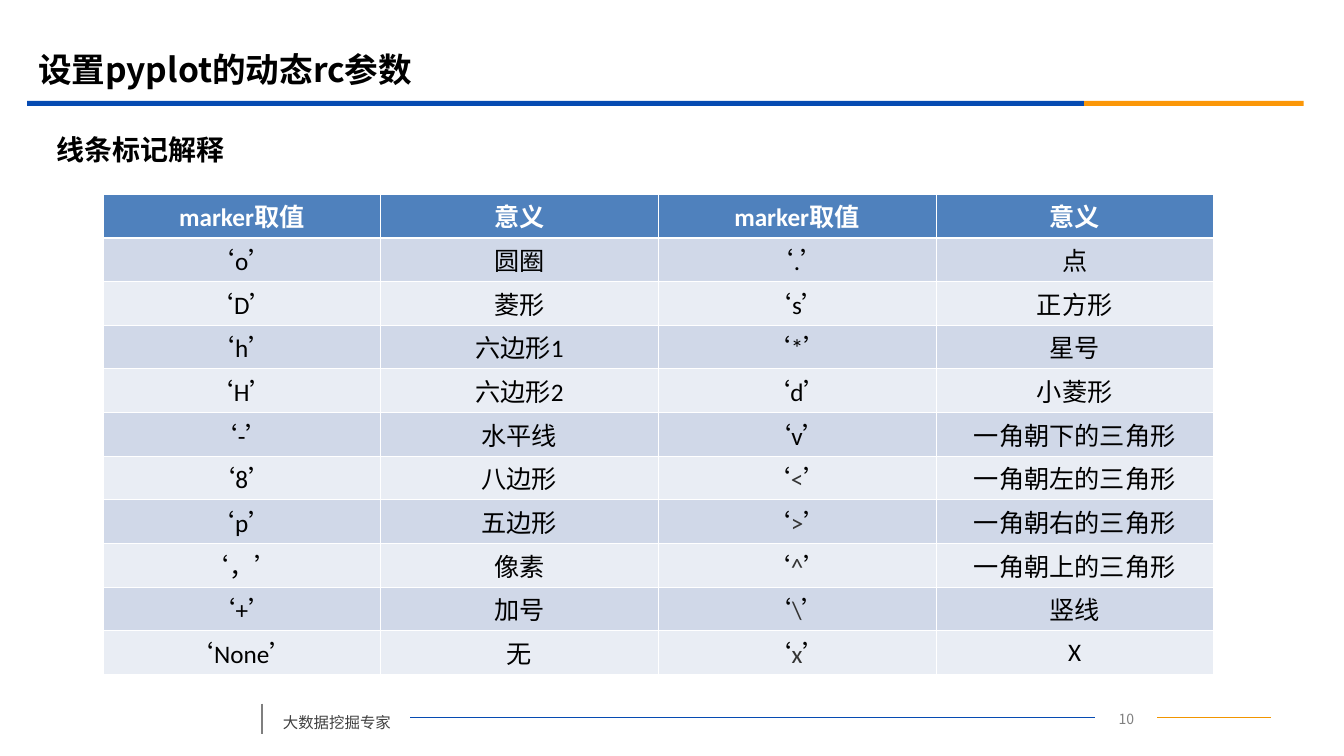
"""Builds a slide listing the pyplot line marker values and their meanings."""
import dataclasses
import itertools

import lxml.etree
import pptx
import pptx.dml.color
import pptx.enum.shapes
import pptx.enum.text
import pptx.oxml.ns
import pptx.util

Pt = pptx.util.Pt
ALIGN = pptx.enum.text.PP_ALIGN
ANCHOR = pptx.enum.text.MSO_ANCHOR
qn = pptx.oxml.ns.qn


@dataclasses.dataclass(frozen=True)
class Theme:
    latin: str = "Calibri"
    chinese: str = "Noto Sans CJK SC"
    black: str = "000000"
    white: str = "FFFFFF"
    symbol: str = "333333"
    footer: str = "404040"
    grey: str = "7F7F7F"
    blue: str = "064BB2"
    orange: str = "FB9708"
    footer_orange: str = "F19500"
    header: str = "4F81BD"
    bands: tuple = ("D0D8E8", "E9EDF4")
    title_size: int = 24
    heading_size: int = 20
    table_size: int = 18
    footer_size: int = 11
    page_size: int = 10
    thin_border: float = 0.45
    thick_border: float = 1.47


HEADINGS = ("marker取值", "意义") * 2
MARKERS = [
    ("‘o’", "圆圈", "‘.’", "点"),
    ("‘D’", "菱形", "‘s’", "正方形"),
    ("‘h’", "六边形1", "‘*’", "星号"),
    ("‘H’", "六边形2", "‘d’", "小菱形"),
    ("‘-’", "水平线", "‘v’", "一角朝下的三角形"),
    ("‘8’", "八边形", "‘<’", "一角朝左的三角形"),
    ("‘p’", "五边形", "‘>’", "一角朝右的三角形"),
    ("‘，’", "像素", "‘^’", "一角朝上的三角形"),
    ("‘+’", "加号", "‘\\’", "竖线"),
    ("‘None’", "无", "‘x’", "X"),
]
GREY_SYMBOLS = ("<", ">", "^", "\\", "x")


def rgb(color):
    return pptx.dml.color.RGBColor.from_string(color)


class SlideBuilder:
    def __init__(self, slide, theme):
        self.slide = slide
        self.theme = theme

    def style(self, font, size, color, bold=False):
        font.size, font.bold = Pt(size), bold
        font.color.rgb = rgb(color)

    def typeface(self, font, properties, name):
        font.name = name
        east_asian = lxml.etree.SubElement(properties, qn("a:ea"))
        east_asian.set("typeface", self.theme.chinese)

    def fill_text(self, frame, text, size, color, bold=False, align=ALIGN.LEFT,
                  anchor=ANCHOR.MIDDLE):
        frame.word_wrap = True
        frame.vertical_anchor = anchor
        paragraph = frame.paragraphs[0]
        paragraph.text = text
        paragraph.alignment = align
        self.style(paragraph.font, size, color, bold)
        defaults = paragraph._p.pPr.find(qn("a:defRPr"))
        self.typeface(paragraph.font, defaults, self.theme.chinese)

    def title(self, text, left, top, width, height):
        title = self.slide.shapes.title
        title.left, title.top = Pt(left), Pt(top)
        title.width, title.height = Pt(width), Pt(height)
        self.fill_text(title.text_frame, text, self.theme.title_size, self.theme.black, bold=True)

    def text(self, text, left, top, width, height, size, color, **options):
        box = self.slide.shapes.add_textbox(Pt(left), Pt(top), Pt(width), Pt(height))
        self.fill_text(box.text_frame, text, size, color, **options)
        return box

    def bar(self, left, top, width, height, color):
        bar = self.slide.shapes.add_shape(
            pptx.enum.shapes.MSO_SHAPE.RECTANGLE, Pt(left), Pt(top), Pt(width), Pt(height))
        bar.shadow.inherit = False
        bar.fill.solid()
        bar.fill.fore_color.rgb = rgb(color)
        bar.line.fill.background()

    def line(self, start, end, color, width):
        line = self.slide.shapes.add_connector(
            pptx.enum.shapes.MSO_CONNECTOR.STRAIGHT, *map(Pt, start + end))
        line.line.color.rgb = rgb(color)
        line.line.width = Pt(width)
        lxml.etree.SubElement(line._element.spPr, qn("a:effectLst"))
        return line

    def borders(self, cell, top, bottom):
        properties = cell._tc.get_or_add_tcPr()
        thin = self.theme.thin_border
        sides = (("lnL", thin), ("lnR", thin), ("lnT", top), ("lnB", bottom))
        for position, (side, width) in enumerate(sides):
            border = lxml.etree.Element(qn(f"a:{side}"), w=str(int(Pt(width))))
            fill = lxml.etree.SubElement(border, qn("a:solidFill"))
            lxml.etree.SubElement(fill, qn("a:srgbClr"), val=self.theme.white)
            properties.insert(position, border)

    def cell(self, cell, text, row):
        theme = self.theme
        is_header = row == 0
        cell.vertical_anchor = ANCHOR.MIDDLE
        cell.margin_left = cell.margin_right = Pt(5.8)
        cell.margin_top = cell.margin_bottom = Pt(2.5)
        cell.fill.solid()
        cell.fill.fore_color.rgb = rgb(theme.header if is_header else theme.bands[(row - 1) % 2])
        self.borders(cell,
                     theme.thick_border if row == 1 else theme.thin_border,
                     theme.thick_border if is_header else theme.thin_border)
        paragraph = cell.text_frame.paragraphs[0]
        paragraph.alignment = ALIGN.CENTER
        self.style(paragraph.font, theme.table_size,
                   theme.white if is_header else theme.black, is_header)
        for is_latin, letters in itertools.groupby(text, str.isascii):
            run = paragraph.add_run()
            run.text = "".join(letters)
            name = theme.latin if is_latin else theme.chinese
            self.typeface(run.font, run._r.get_or_add_rPr(), name)
            if run.text in GREY_SYMBOLS:
                run.font.color.rgb = rgb(theme.symbol)

    def table(self, rows, left, top, width, height):
        table = self.slide.shapes.add_table(
            len(rows), len(rows[0]), Pt(left), Pt(top), Pt(width), Pt(height)).table
        for row, texts in enumerate(rows):
            table.rows[row].height = Pt(height / len(rows))
            for column, text in enumerate(texts):
                self.cell(table.cell(row, column), text, row)


def main():
    theme = Theme()
    deck = pptx.Presentation()
    deck.slide_width, deck.slide_height = Pt(960.5), Pt(540)
    builder = SlideBuilder(deck.slides.add_slide(deck.slide_layouts[5]), theme)

    builder.title("设置pyplot的动态rc参数", 20, 28, 864, 42)
    builder.bar(19.4, 72, 755.3, 3.6, theme.blue)
    builder.bar(774.7, 72, 157, 3.6, theme.orange)
    builder.text("线条标记解释", 33, 89.5, 875, 34, theme.heading_size, theme.black, bold=True)
    builder.table([HEADINGS, *MARKERS], 73.6, 138.6, 793.6, 343.2)

    footer_y = 512.6
    builder.line((187.2, 502.6), (187.2, 524.2), theme.grey, 1.25)
    motto = builder.text("大数据挖掘专家", 195.1, footer_y - 13.6, 98, 27.2,
                         theme.footer_size, theme.footer, anchor=ANCHOR.BOTTOM)
    page = builder.text("10", 782.6, footer_y - 9, 44.6, 18, theme.page_size, theme.grey,
                        align=ALIGN.CENTER, anchor=ANCHOR.TOP)
    blue_rule = builder.line((293.1, footer_y), (782.6, footer_y), theme.blue, 0.75)
    blue_rule.begin_connect(motto, 3)
    blue_rule.end_connect(page, 1)
    orange_rule = builder.line((827.2, footer_y), (908, footer_y), theme.footer_orange, 0.75)
    orange_rule.begin_connect(page, 3)

    deck.save("out.pptx")


if __name__ == "__main__":
    main()
